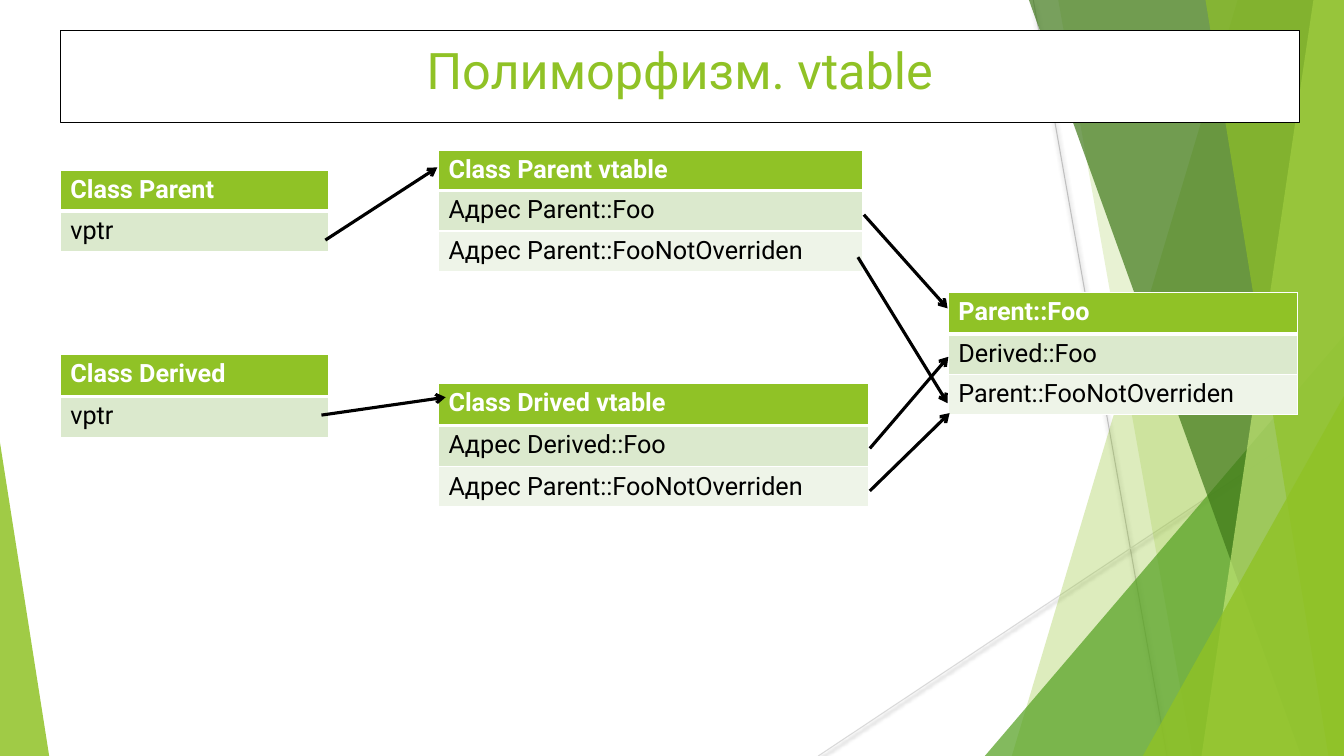
import pptx
import pptx.util
import pptx.dml.color
import pptx.enum.shapes
import pptx.enum.text
import pptx.oxml
import pptx.oxml.ns
from pptx.util import Cm

W, H = 33.87, 19.05
FONT = "Roboto"
COLORS = {
    "green": "90C226", "mid": "54A021", "dark": "3F7819", "lime": "C0E474",
    "band": "DBE9CD", "pale": "EEF4E8", "white": "FFFFFF", "black": "000000",
    "gray": "BFBFBF", "silver": "D9D9D9",
}


def rgb(name):
    return pptx.dml.color.RGBColor.from_string(COLORS[name])


def add_xml(parent, xml):
    el = pptx.oxml.parse_xml(xml.replace(">", f" {pptx.oxml.ns.nsdecls('a')}>", 1))
    parent.append(el)


def set_fill(sp, color, alpha):
    sp.shadow.inherit = False
    sp.fill.solid()
    sp.fill.fore_color.rgb = rgb(color)
    sp.line.fill.background()
    clr = sp.fill._xPr.find(".//" + pptx.oxml.ns.qn("a:srgbClr"))
    add_xml(clr, f'<a:alpha val="{alpha * 1000}"></a:alpha>')


def add_facet(s, top_x, bottom_x, color, alpha):
    fb = s.shapes.build_freeform(Cm(top_x), 0, scale=1.0)
    fb.add_line_segments([(Cm(W), 0), (Cm(W), Cm(H)), (Cm(bottom_x), Cm(H))])
    set_fill(fb.convert_to_shape(), color, alpha)


def add_triangle(s, x, y, w, adj, color, alpha):
    shape = pptx.enum.shapes.MSO_SHAPE.ISOSCELES_TRIANGLE
    sp = s.shapes.add_shape(shape, Cm(x), Cm(y), Cm(w), Cm(H - y))
    sp.adjustments[0] = adj
    set_fill(sp, color, alpha)


def add_line(s, x1, y1, x2, y2, color, width):
    kind = pptx.enum.shapes.MSO_CONNECTOR.STRAIGHT
    c = s.shapes.add_connector(kind, Cm(x1), Cm(y1), Cm(x2), Cm(y2))
    c.line.color.rgb = rgb(color)
    c.line.width = pptx.util.Pt(width)
    return c


def add_ray(s, x1, y1, x2, y2, color):
    c = add_line(s, x1, y1, x2, y2, color, 0.75)
    add_xml(c._element.spPr,
            '<a:effectLst><a:outerShdw blurRad="39400" dist="20300" dir="5400000">'
            '<a:srgbClr val="000000"><a:alpha val="38000"/></a:srgbClr>'
            '</a:outerShdw></a:effectLst>')


def add_arrow(s, x1, y1, x2, y2):
    c = add_line(s, x1, y1, x2, y2, "black", 2.25)
    add_xml(c.line._get_or_add_ln(), '<a:tailEnd type="arrow"></a:tailEnd>')
    add_xml(c._element.spPr, "<a:effectLst></a:effectLst>")


def format_run(p, size, color, bold=False):
    r = p.runs[0]
    r.font.name = FONT
    r.font.size = pptx.util.Pt(size)
    r.font.bold = bold
    r.font.color.rgb = rgb(color)


def add_title(s, text):
    shape = pptx.enum.shapes.MSO_SHAPE.RECTANGLE
    sp = s.shapes.add_shape(shape, Cm(1.52), Cm(0.76), Cm(31.22), Cm(2.34))
    sp.shadow.inherit = False
    sp.fill.solid()
    sp.fill.fore_color.rgb = rgb("white")
    sp.line.color.rgb = rgb("black")
    sp.line.width = pptx.util.Pt(0.75)
    tf = sp.text_frame
    tf.text = text
    tf.vertical_anchor = pptx.enum.text.MSO_ANCHOR.TOP
    tf.margin_top = Cm(0.23)
    p = tf.paragraphs[0]
    p.alignment = pptx.enum.text.PP_ALIGN.CENTER
    format_run(p, 36, "green")


def set_borders(cell, bottom):
    tcPr = cell._tc.get_or_add_tcPr()
    for side, width in (("L", 1), ("R", 1), ("T", 1), ("B", bottom)):
        add_xml(tcPr, f'<a:ln{side} w="{width * 12700}"><a:solidFill>'
                      f'<a:srgbClr val="{COLORS["white"]}"/></a:solidFill></a:ln{side}>')


def add_class_table(s, x, y, w, heights, texts):
    gf = s.shapes.add_table(len(texts), 1, Cm(x), Cm(y), Cm(w), Cm(sum(heights)))
    table = gf.table
    table.columns[0].width = Cm(w)
    for i, (height, text) in enumerate(zip(heights, texts)):
        table.rows[i].height = Cm(height)
        cell = table.cell(i, 0)
        cell.text_frame.text = text
        header = i == 0
        format_run(cell.text_frame.paragraphs[0], 18, "white" if header else "black", header)
        set_borders(cell, 3 if header else 1)
        cell.fill.solid()
        cell.fill.fore_color.rgb = rgb(("green", "band", "pale")[i])


def add_background(s):
    add_ray(s, 26.04, 0, 29.41, H, "gray")
    add_ray(s, W, 10.24, 20.62, H, "silver")
    add_facet(s, 31.19, 25.5, "green", 30)
    add_facet(s, 26.67, 30.05, "green", 20)
    add_triangle(s, 24.82, 8.46, 9.05, 1, "mid", 72)
    add_facet(s, 25.93, 32.79, "dark", 70)
    add_facet(s, 33.1, 30.28, "lime", 70)
    add_facet(s, 30.38, 33.48, "green", 65)
    add_triangle(s, 28.8, 9.98, 5.07, 1, "green", 80)
    add_triangle(s, 0, 11.15, 1.24, 0, "green", 85)


def main():
    prs = pptx.Presentation()
    prs.slide_width, prs.slide_height = Cm(W), Cm(H)
    s = prs.slides.add_slide(prs.slide_layouts[6])
    add_background(s)
    add_title(s, "Полиморфизм. vtable")
    for table in (
        (1.52, 4.29, 6.76, (1.02, 1.02), ("Class Parent", "vptr")),
        (1.52, 8.92, 6.76, (1.07, 1.04), ("Class Derived", "vptr")),
        (11.05, 3.78, 10.69, (1.02, 1.02, 1.02),
         ("Class Parent vtable", "Адрес Parent::Foo", "Адрес Parent::FooNotOverriden")),
        (11.05, 9.65, 10.85, (1.07, 1.04, 1),
         ("Class Drived vtable", "Адрес Derived::Foo", "Адрес Parent::FooNotOverriden")),
        (23.9, 7.37, 8.79, (1.04, 1.02, 1.02),
         ("Parent::Foo", "Derived::Foo", "Parent::FooNotOverriden")),
    ):
        add_class_table(s, *table)
    for arrow in (
        (8.2, 6.05, 11.02, 4.22),
        (8.1, 10.46, 11.23, 10.01),
        (21.77, 5.41, 23.88, 7.77),
        (21.62, 6.48, 23.88, 10.16),
        (21.92, 11.3, 23.9, 8.99),
        (21.92, 12.37, 23.93, 10.41),
    ):
        add_arrow(s, *arrow)
    prs.save("out.pptx")


if __name__ == "__main__":
    main()
